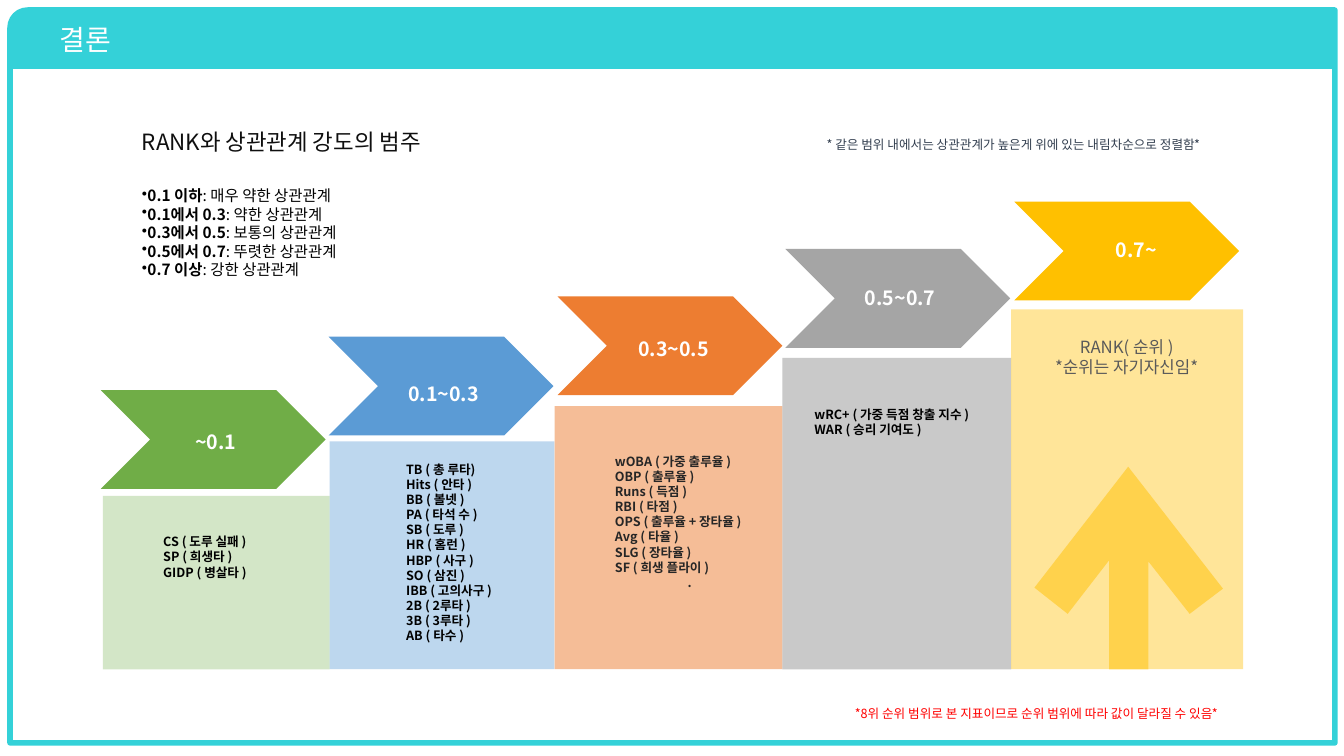
"""Builds the conclusion slide: steps of correlation strength with RANK."""
from lxml.etree import SubElement
from pptx import Presentation
from pptx.dml.color import RGBColor
from pptx.enum.shapes import MSO_SHAPE
from pptx.enum.text import MSO_ANCHOR, MSO_AUTO_SIZE, PP_ALIGN
from pptx.oxml.ns import qn
from pptx.util import Pt

PX = 9144
FONT = "Noto Sans CJK KR"
COLORS = {
    "teal": "34D1D8", "white": "FFFFFF", "black": "000000", "heading": "0F0F0F",
    "green": "70AD47", "blue": "5B9BD5", "orange": "ED7D31", "gray": "A5A5A5",
    "gold": "FFC000", "charcoal": "262626", "dim": "595959", "navy": "333F50",
    "red": "FF0000",
}


def paint(shape, color, opacity=100):
    shape.shadow.inherit = False
    shape.line.fill.background()
    shape.fill.solid()
    shape.fill.fore_color.rgb = RGBColor.from_string(COLORS[color])
    if opacity < 100:
        tint = shape._element.spPr.find(f".//{qn('a:srgbClr')}")
        SubElement(tint, qn("a:alpha"), val=str(opacity * 1000))


def write(box, place, lines, size, color, bold=False, align=PP_ALIGN.LEFT):
    box.left, box.top, box.width, box.height = [n * PX for n in place]
    frame = box.text_frame
    frame.word_wrap = True
    frame.auto_size = MSO_AUTO_SIZE.NONE
    frame.vertical_anchor = MSO_ANCHOR.TOP
    frame.text = "\n".join(lines)
    for para in frame.paragraphs:
        para.alignment = align
        para.font.name = FONT
        SubElement(para.font._element, qn("a:ea"), typeface=FONT)
        para.font.size = Pt(size)
        para.font.bold = bold
        para.font.color.rgb = RGBColor.from_string(COLORS[color])
    return frame


deck = Presentation()
deck.slide_width, deck.slide_height = 1333 * PX, 750 * PX
page = deck.slides.add_slide(deck.slide_layouts[5])
shapes = page.shapes

border = shapes.add_shape(MSO_SHAPE.ROUND_1_RECTANGLE, 10 * PX, 10 * PX, 1314 * PX, 727 * PX)
border.adjustments[0] = 0.024
border._element.spPr.xfrm.set("flipH", "1")
border.shadow.inherit = False
border.line.color.rgb = RGBColor.from_string(COLORS["teal"])
border.line.width = Pt(4)
border.fill.gradient()
border.fill.gradient_angle = 270
for stop, color in zip(border.fill.gradient_stops, ("teal", "white")):
    stop.color.rgb = RGBColor.from_string(COLORS[color])
    stop.position = 0.08

title = shapes.title
border._element.addnext(title._element)
title_frame = write(title, (49, 10, 600, 55), ["결론"], 20, "white")
title_frame.margin_top = 12 * PX

BASE = 664
EDGES = [102, 327, 550, 776, 1003, 1233]
STEPS = [
    ("green", 30, 387, 492, "~0.1", (159, 422)),
    ("blue", 40, 334, 438, "0.1~0.3", (385, 374)),
    ("orange", 50, 294, 403, "0.3~0.5", (613, 329)),
    ("gray", 60, 247, 355, "0.5~0.7", (838, 279)),
    ("gold", 40, 200, 307, "0.7~", (1072, 231)),
]
for index, (color, opacity, chevron_top, panel_top, label, corner) in enumerate(STEPS):
    left, right = EDGES[index:index + 2]
    panel = shapes.add_shape(MSO_SHAPE.RECTANGLE, left * PX, panel_top * PX,
                             (right - left) * PX, (BASE - panel_top) * PX)
    paint(panel, color, opacity)
    chevron_left = 100 + 453 * index // 2
    chevron = shapes.add_shape(MSO_SHAPE.CHEVRON, chevron_left * PX, chevron_top * PX,
                               223 * PX, 98 * PX)
    paint(chevron, color)
    write(shapes.add_textbox(0, 0, 0, 0), (*corner, 110, 34), [label], 14, "white",
          True, PP_ALIGN.CENTER)

ARROW = [(1119, 463), (1213, 584), (1180, 609), (1139, 557), (1139, 664),
         (1100, 664), (1100, 556), (1059, 609), (1026, 583)]
outline = shapes.build_freeform(*ARROW[0], scale=PX)
outline.add_line_segments(ARROW[1:], close=True)
paint(outline.convert_to_shape(), "gold", 50)

STATS = [
    ((152, 525, 148, 56), "black", ["CS ( 도루 실패 )", "SP ( 희생타 )", "GIDP ( 병살타 )"]),
    ((393, 453, 150, 209), "black", [
        "TB ( 총 루타)", "Hits ( 안타 )", "BB ( 볼넷 )", "PA ( 타석 수 )",
        "SB ( 도루 )", "HR ( 홈런 )", "HBP ( 사구 )", "SO ( 삼진 )",
        "IBB ( 고의사구 )", "2B ( 2루타 )", "3B ( 3루타 )", "AB ( 타수 )"]),
    ((600, 445, 168, 146), "charcoal", [
        "wOBA ( 가중 출루율 )", "OBP ( 출루율 )", "Runs ( 득점 )", "RBI ( 타점 )",
        "OPS ( 출루율 + 장타율 )", "Avg ( 타율 )", "SLG ( 장타율 )",
        "SF ( 희생 플라이 )", "."]),
    ((798, 399, 204, 40), "black", ["wRC+ ( 가중 득점 창출 지수 )", "WAR ( 승리 기여도 )"]),
]
for place, color, lines in STATS:
    stats = write(shapes.add_textbox(0, 0, 0, 0), place, lines, 9, color, True)
    if lines[-1] == ".":
        stats.paragraphs[-1].alignment = PP_ALIGN.CENTER

write(shapes.add_textbox(0, 0, 0, 0), (1024, 329, 187, 50),
      ["RANK( 순위 )", "*순위는 자기자신임*"], 12, "dim", align=PP_ALIGN.CENTER)

NOTES = [
    ((131, 122, 667, 37), 16, "heading", "RANK와 상관관계 강도의 범주"),
    ((810, 131, 429, 25), 9, "navy",
     "* 같은 범위 내에서는 상관관계가 높은게 위에 있는 내림차순으로 정렬함*"),
    ((838, 695, 453, 25), 9, "red",
     "*8위 순위 범위로 본 지표이므로 순위 범위에 따라 값이 달라질 수 있음*"),
]
for place, size, color, words in NOTES:
    write(shapes.add_textbox(0, 0, 0, 0), place, [words], size, color)

RANGES = [
    ("0.1 이하", ": 매우 약한 상관관계"),
    ("0.1에서 0.3", ": 약한 상관관계"),
    ("0.3에서 0.5", ": 보통의 상관관계"),
    ("0.5에서 0.7", ": 뚜렷한 상관관계"),
    ("0.7 이상", ": 강한 상관관계"),
]
legend = write(shapes.add_textbox(0, 0, 0, 0), (131, 180, 364, 103),
               [span for span, meaning in RANGES], 11, "black")
for para, (span, meaning) in zip(legend.paragraphs, RANGES):
    para.runs[0].font.bold = True
    para.add_run().text = meaning
    bullet = para._p.pPr.makeelement(qn("a:buChar"), {"char": "•"})
    para._p.pPr.insert(0, bullet)

deck.save("out.pptx")
